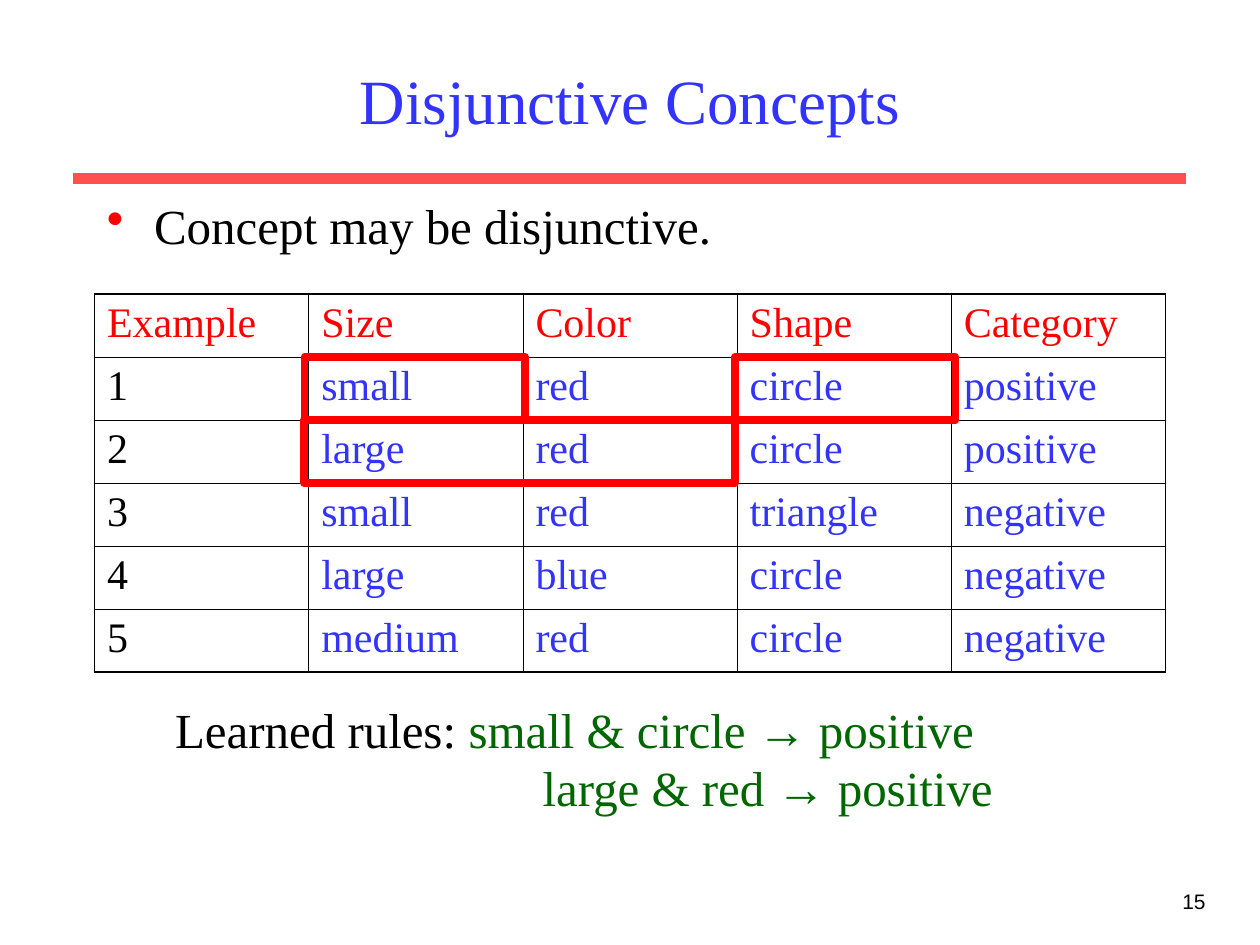
from dataclasses import dataclass

from lxml import etree
from pptx import Presentation
from pptx.dml.color import RGBColor
from pptx.enum.shapes import MSO_CONNECTOR, MSO_SHAPE
from pptx.enum.text import MSO_ANCHOR, PP_ALIGN
from pptx.oxml.ns import qn
from pptx.util import Pt

STRAIGHT = MSO_CONNECTOR.STRAIGHT
RECTANGLE = MSO_SHAPE.RECTANGLE
TOP, MIDDLE = MSO_ANCHOR.TOP, MSO_ANCHOR.MIDDLE
LEFT, CENTER, RIGHT = PP_ALIGN.LEFT, PP_ALIGN.CENTER, PP_ALIGN.RIGHT


@dataclass(frozen=True)
class Theme:
    serif: str = "Times New Roman"
    sans: str = "Arial"
    black: str = "000000"
    blue: str = "3333FF"
    red: str = "FF0000"
    rule: str = "FF5050"
    green: str = "006600"
    title_size: float = 36
    body_size: float = 28
    table_size: float = 24
    number_size: float = 12
    outer_border: float = 1.08
    inner_border: float = 0.45


def color(value):
    return RGBColor.from_string(value)


class SlideBuilder:
    def __init__(self, slide, theme):
        self.slide = slide
        self.theme = theme

    def style(self, paragraph, size, text_color, font=None, align=LEFT):
        paragraph.alignment = align
        paragraph.font.name = font or self.theme.serif
        paragraph.font.size = Pt(size)
        paragraph.font.color.rgb = color(text_color)

    def title(self, text, left, top, width, height):
        title = self.slide.shapes.title
        title.left, title.top = Pt(left), Pt(top)
        title.width, title.height = Pt(width), Pt(height)
        title.text_frame.text = text
        title.text_frame.vertical_anchor = MIDDLE
        self.style(title.text_frame.paragraphs[0], self.theme.title_size,
                   self.theme.blue, align=CENTER)

    def rule(self, left, right, y, width):
        line = self.slide.shapes.add_connector(STRAIGHT, Pt(left), Pt(y), Pt(right), Pt(y))
        line.line.color.rgb = color(self.theme.rule)
        line.line.width = Pt(width)
        etree.SubElement(line._element.spPr, qn("a:effectLst"))

    def text(self, lines, left, top, width, height, size, font=None, align=LEFT):
        """Each line is a list of (text, color) runs; returns its paragraphs."""
        frame = self.slide.shapes.add_textbox(
            Pt(left), Pt(top), Pt(width), Pt(height)).text_frame
        frame.word_wrap = True
        frame.vertical_anchor = TOP
        for index, runs in enumerate(lines):
            paragraph = frame.add_paragraph() if index else frame.paragraphs[0]
            self.style(paragraph, size, runs[0][1], font, align)
            for words, run_color in runs:
                run = paragraph.add_run()
                run.text = words
                if run_color != runs[0][1]:
                    run.font.color.rgb = color(run_color)
        return frame.paragraphs

    def indent(self, paragraph, margin, first=0):
        properties = paragraph._p.get_or_add_pPr()
        properties.set("marL", str(Pt(margin)))
        properties.set("indent", str(Pt(first)))
        return properties

    def bullet(self, paragraph, hanging):
        properties = self.indent(paragraph, hanging, -hanging)
        bullet_color = etree.Element(qn("a:buClr"))
        etree.SubElement(bullet_color, qn("a:srgbClr"), val=self.theme.red)
        character = etree.Element(qn("a:buChar"), char="•")
        # Bullet elements come before the default run properties
        for element in (bullet_color, character):
            properties.find(qn("a:defRPr")).addprevious(element)

    def border(self, cell, side, width):
        line = etree.Element(qn(f"a:ln{side}"), w=str(Pt(width)))
        fill = etree.SubElement(line, qn("a:solidFill"))
        etree.SubElement(fill, qn("a:srgbClr"), val=self.theme.black)
        properties = cell._tc.get_or_add_tcPr()
        properties.insert(len(properties.findall("*")) - 1, line)  # ahead of the fill

    def table(self, rows, left, top, column_width, row_height):
        theme = self.theme
        last_row, last_column = len(rows) - 1, len(rows[0]) - 1
        table = self.slide.shapes.add_table(
            len(rows), len(rows[0]), Pt(left), Pt(top),
            Pt(column_width * len(rows[0])), Pt(row_height * len(rows))).table
        table.first_row = table.horz_banding = False
        for column in table.columns:
            column.width = Pt(column_width)
        for r, values in enumerate(rows):
            table.rows[r].height = Pt(row_height)
            for c, value in enumerate(values):
                cell = table.cell(r, c)
                cell.text = value
                cell.fill.background()
                paragraph = cell.text_frame.paragraphs[0]
                text_color = theme.red if r == 0 else theme.black if c == 0 else theme.blue
                self.style(paragraph, theme.table_size, text_color)
                paragraph.space_before = Pt(6)
                edges = {"L": c == 0, "R": c == last_column, "T": r == 0, "B": r == last_row}
                for side, is_outer in edges.items():
                    self.border(cell, side,
                                theme.outer_border if is_outer else theme.inner_border)

    def highlight(self, left, top, width, height):
        box = self.slide.shapes.add_shape(RECTANGLE, Pt(left), Pt(top), Pt(width), Pt(height))
        box.shadow.inherit = False
        box.fill.background()
        box.line.color.rgb = color(self.theme.red)
        box.line.width = Pt(4.5)


def main():
    theme = Theme()
    presentation = Presentation()
    presentation.slide_width, presentation.slide_height = Pt(720), Pt(540)
    slide = presentation.slides.add_slide(presentation.slide_layouts[5])
    builder = SlideBuilder(slide, theme)

    # Heading, rule and slide number
    builder.rule(42, 678, 102, 6)
    builder.text([[("15", theme.black)]], 546, 504, 150, 36,
                 theme.number_size, theme.sans, RIGHT)
    builder.title("Disjunctive Concepts", 54, 18, 612, 78)

    # Opening statement
    statement = builder.text([[("Concept may be disjunctive.", theme.black)]],
                             54, 108, 612, 50, theme.body_size)[0]
    statement.space_before = Pt(7)
    builder.bullet(statement, 27)

    # Training examples
    table_top, row_height = 168, 36
    builder.table([
        ("Example", "Size", "Color", "Shape", "Category"),
        ("1", "small", "red", "circle", "positive"),
        ("2", "large", "red", "circle", "positive"),
        ("3", "small", "red", "triangle", "negative"),
        ("4", "large", "blue", "circle", "negative"),
        ("5", "medium", "red", "circle", "negative"),
    ], 54, table_top, 122.4, row_height)

    # Boxes round the features each rule uses: (table row, left, width)
    for row, left, width in ((2, 174, 246), (1, 174, 126), (1, 420, 126)):
        builder.highlight(left, table_top + row * row_height, width, row_height)

    # Learned rules, the second set in under the first
    rules = builder.text([
        [("Learned rules: ", theme.black), ("small & circle → positive", theme.green)],
        [("large & red → positive", theme.green)],
    ], 90, 396, 498, 75, theme.body_size)
    for paragraph, margin in zip(rules, (3, 213)):
        builder.indent(paragraph, margin)

    presentation.save("out.pptx")


if __name__ == "__main__":
    main()
